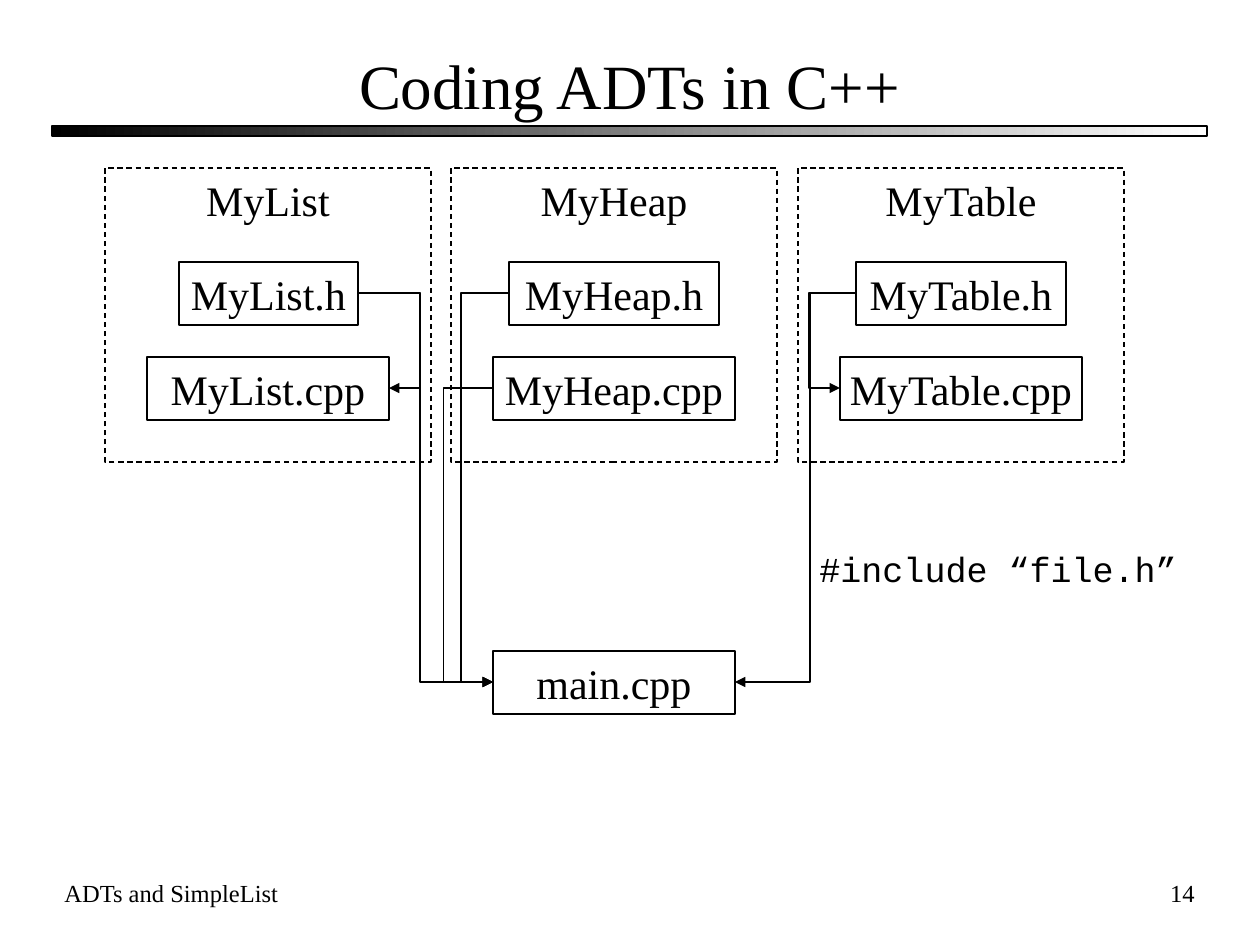
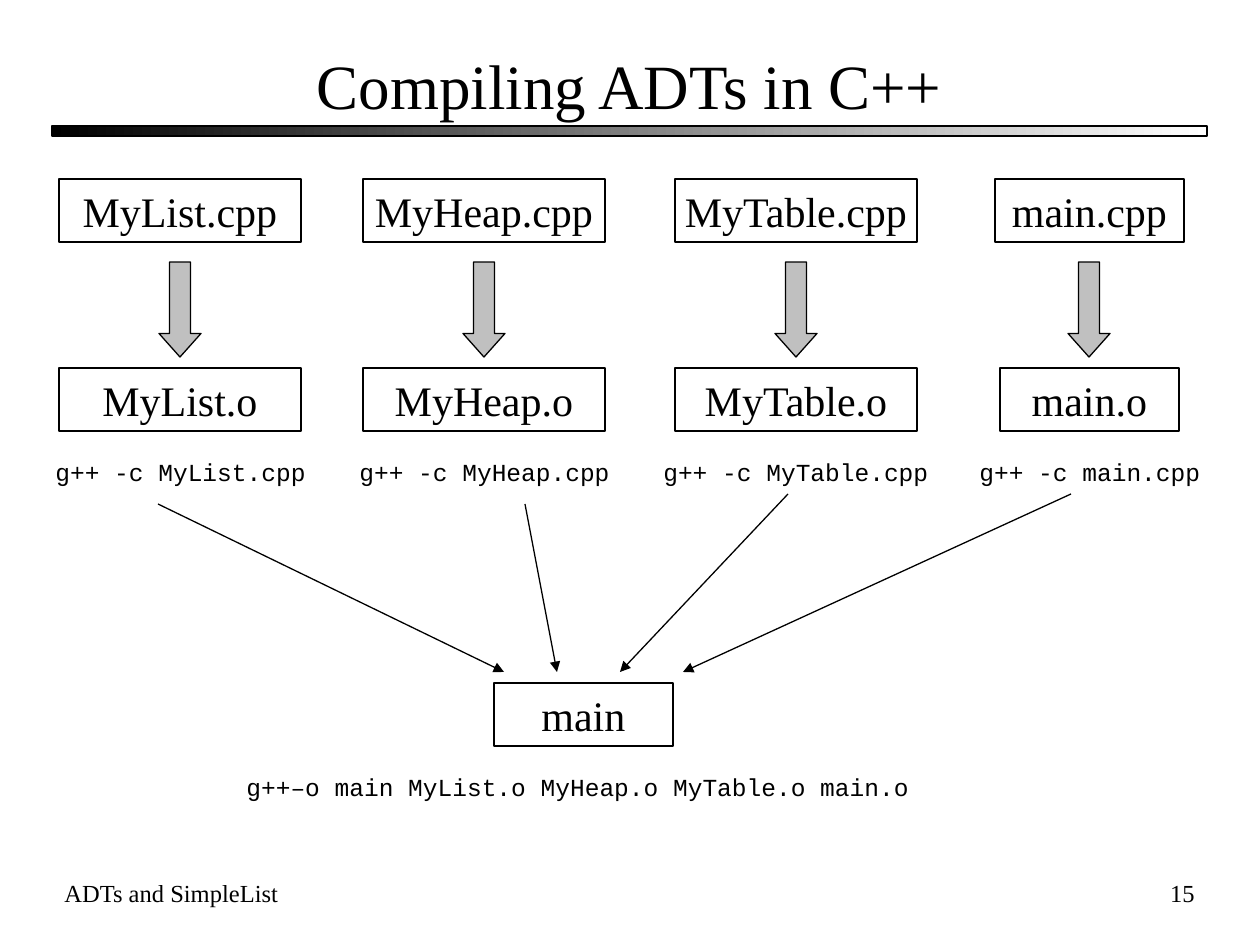
from lxml import etree
from pptx import Presentation, util as u
from pptx.dml.color import RGBColor
from pptx.enum import dml, shapes, text
from pptx.oxml.ns import qn

# Shared style
BLACK = RGBColor(0x00, 0x00, 0x00)
WHITE = RGBColor(0xFF, 0xFF, 0xFF)
SILVER = RGBColor(0xC0, 0xC0, 0xC0)
SERIF, MONO = "Times New Roman", "Courier New"
PX_PER_INCH = 126
SLIDE_SIZE = (1260, 945)
TITLE = (52, 42, 1155, 84)
BAND = (52, 126, 1155, 10)
FOOTER = (52, 872, 441, 63)
NUMBER = (945, 872, 262, 63)
FOOTER_TEXT = "ADTs and SimpleList"
BOX_HEIGHT = 63
FILE_WIDTH = 242

# Coding slide: name, column centre, header box width
ADTS = [("MyList", 268, 179), ("MyHeap", 614, 210), ("MyTable", 961, 210)]
FRAME_TOP, FRAME_WIDTH, FRAME_HEIGHT = 168, 326, 294
HEADER_TOP, SOURCE_TOP, MAIN_TOP = 262, 357, 651
# Includes: file, side it leaves, x of the bend, including file, side entered
INCLUDES = [
    ("MyHeap.h", "left", 461, "main.cpp", "left"),
    ("MyHeap.cpp", "left", 443, "main.cpp", "left"),
    ("MyList.h", "right", 420, "MyList.cpp", "right"),
    ("MyList.h", "right", 420, "main.cpp", "left"),
    ("MyTable.h", "left", 809, "MyTable.cpp", "left"),
    ("MyTable.h", "left", 810, "main.cpp", "right"),
]
INCLUDE_LINE = ("#include “file.h”", 998, 541, 20)

# Compiling slide: name, column centre, source width, object width, link line
UNITS = [
    ("MyList", 180, 242, 242, (158, 504, 504, 672)),
    ("MyHeap", 484, 242, 242, (525, 504, 557, 672)),
    ("MyTable", 796, 242, 242, (788, 494, 620, 672)),
    ("main", 1089, 189, 179, (1071, 494, 683, 672)),
]
CPP_TOP, ARROW_TOP, OBJECT_TOP, COMMAND_TOP = 179, 262, 368, 451
ARROW_WIDTH, ARROW_HEIGHT = 42, 95
PROGRAM = ("main", 583, 683, 179)
LINK_COMMAND = ("g++–o main MyList.o MyHeap.o MyTable.o main.o", 577, 766, 14)


def px(*lengths):
    return [u.Emu(round(n * u.Inches(1) / PX_PER_INCH)) for n in lengths]


def write(shape, words, size, font=SERIF, align=text.PP_ALIGN.LEFT,
          anchor=text.MSO_ANCHOR.TOP, wrap=True):
    frame = shape.text_frame
    frame.text = words
    frame.word_wrap = wrap
    frame.auto_size = text.MSO_AUTO_SIZE.NONE
    frame.vertical_anchor = anchor
    paragraph = frame.paragraphs[0]
    paragraph.alignment = align
    run_font = paragraph.runs[0].font
    run_font.name, run_font.size = font, u.Pt(size)
    run_font.color.rgb = BLACK


def outlined(slide, kind, place):
    shape = slide.shapes.add_shape(kind, *px(*place))
    shape.shadow.inherit = False
    shape.fill.background()
    shape.line.color.rgb = BLACK
    shape.line.width = u.Pt(0.75)
    return shape


def box(slide, label, centre, top, width, height=BOX_HEIGHT,
        anchor=text.MSO_ANCHOR.MIDDLE):
    shape = outlined(slide, shapes.MSO_SHAPE.RECTANGLE,
                     (centre - width // 2, top, width, height))
    write(shape, label, 24, align=text.PP_ALIGN.CENTER, anchor=anchor, wrap=False)
    return shape


def code_line(slide, words, centre, top, size):
    # Monospaced glyphs are 0.6 em wide; 25 px holds both insets
    width = round(len(words) * size * 0.6 * PX_PER_INCH / 72) + 25
    place = px(centre - width // 2, top, width, 2 * size + 15)
    write(slide.shapes.add_textbox(*place), words, size, MONO, wrap=False)


def arrow(slide, kind, ends, bend=None):
    line = slide.shapes.add_connector(kind, *px(*ends))
    line.line.color.rgb = BLACK
    line.line.width = u.Pt(0.75)
    properties = line.element.spPr
    etree.SubElement(properties.find(qn("a:ln")), qn("a:tailEnd"), type="triangle")
    etree.SubElement(properties, qn("a:effectLst"))
    if bend is not None:
        ratio = (bend - ends[0]) / (ends[2] - ends[0])
        guides = properties.find(qn("a:prstGeom")).find(qn("a:avLst"))
        etree.SubElement(guides, qn("a:gd"), name="adj1",
                         fmla=f"val {round(ratio * 100000)}")


def add_band(layout, slide):
    # Drawn once, then moved to the layout so that every slide shows it
    band = outlined(slide, shapes.MSO_SHAPE.RECTANGLE, BAND)
    band.fill.gradient()
    band.fill.gradient_angle = 0
    for stop, colour in zip(band.fill.gradient_stops, (BLACK, WHITE)):
        stop.color.rgb = colour
    layout.shapes.element.append(band.element)


def new_slide(prs, layout, title, number):
    slide = prs.slides.add_slide(layout)
    heading = slide.shapes.title
    heading.left, heading.top, heading.width, heading.height = px(*TITLE)
    write(heading, title, 36, align=text.PP_ALIGN.CENTER,
          anchor=text.MSO_ANCHOR.MIDDLE)
    write(slide.shapes.add_textbox(*px(*FOOTER)), FOOTER_TEXT, 14)
    write(slide.shapes.add_textbox(*px(*NUMBER)), str(number), 14,
          align=text.PP_ALIGN.RIGHT)
    return slide


def fill_coding(slide):
    files = [("main.cpp", 614, MAIN_TOP, FILE_WIDTH)]
    for name, centre, header_width in ADTS:
        frame = box(slide, name, centre, FRAME_TOP, FRAME_WIDTH, FRAME_HEIGHT,
                    text.MSO_ANCHOR.TOP)
        frame.line.dash_style = dml.MSO_LINE.DASH
        files += [(f"{name}.h", centre, HEADER_TOP, header_width),
                  (f"{name}.cpp", centre, SOURCE_TOP, FILE_WIDTH)]

    ports = {}
    for name, centre, top, width in files:
        box(slide, name, centre, top, width)
        left, middle = centre - width // 2, top + BOX_HEIGHT // 2
        ports[name, "left"] = (left, middle)
        ports[name, "right"] = (left + width, middle)

    for source, exit_side, bend, target, entry_side in INCLUDES:
        x, y = ports[source, exit_side]
        end_x, end_y = ports[target, entry_side]
        if x == end_x:
            x += 1  # the bend is a share of the width, which must not be zero
        arrow(slide, shapes.MSO_CONNECTOR.ELBOW, (x, y, end_x, end_y), bend)
    code_line(slide, *INCLUDE_LINE)


def fill_compiling(slide):
    for name, centre, cpp_width, object_width, link in UNITS:
        box(slide, f"{name}.cpp", centre, CPP_TOP, cpp_width)
        step = outlined(slide, shapes.MSO_SHAPE.DOWN_ARROW,
                        (centre - ARROW_WIDTH // 2, ARROW_TOP,
                         ARROW_WIDTH, ARROW_HEIGHT))
        step.adjustments[1] = 0.56
        step.fill.solid()
        step.fill.fore_color.rgb = SILVER
        box(slide, f"{name}.o", centre, OBJECT_TOP, object_width)
        code_line(slide, f"g++ -c {name}.cpp", centre, COMMAND_TOP, 14)
        arrow(slide, shapes.MSO_CONNECTOR.STRAIGHT, link)
    box(slide, *PROGRAM)
    code_line(slide, *LINK_COMMAND)


def main():
    prs = Presentation()
    prs.slide_width, prs.slide_height = px(*SLIDE_SIZE)
    layout = prs.slide_layouts.get_by_name("Title Only")
    coding = new_slide(prs, layout, "Coding ADTs in C++", 14)
    compiling = new_slide(prs, layout, "Compiling ADTs in C++", 15)
    add_band(layout, coding)
    fill_coding(coding)
    fill_compiling(compiling)
    prs.save("out.pptx")


if __name__ == "__main__":
    main()
